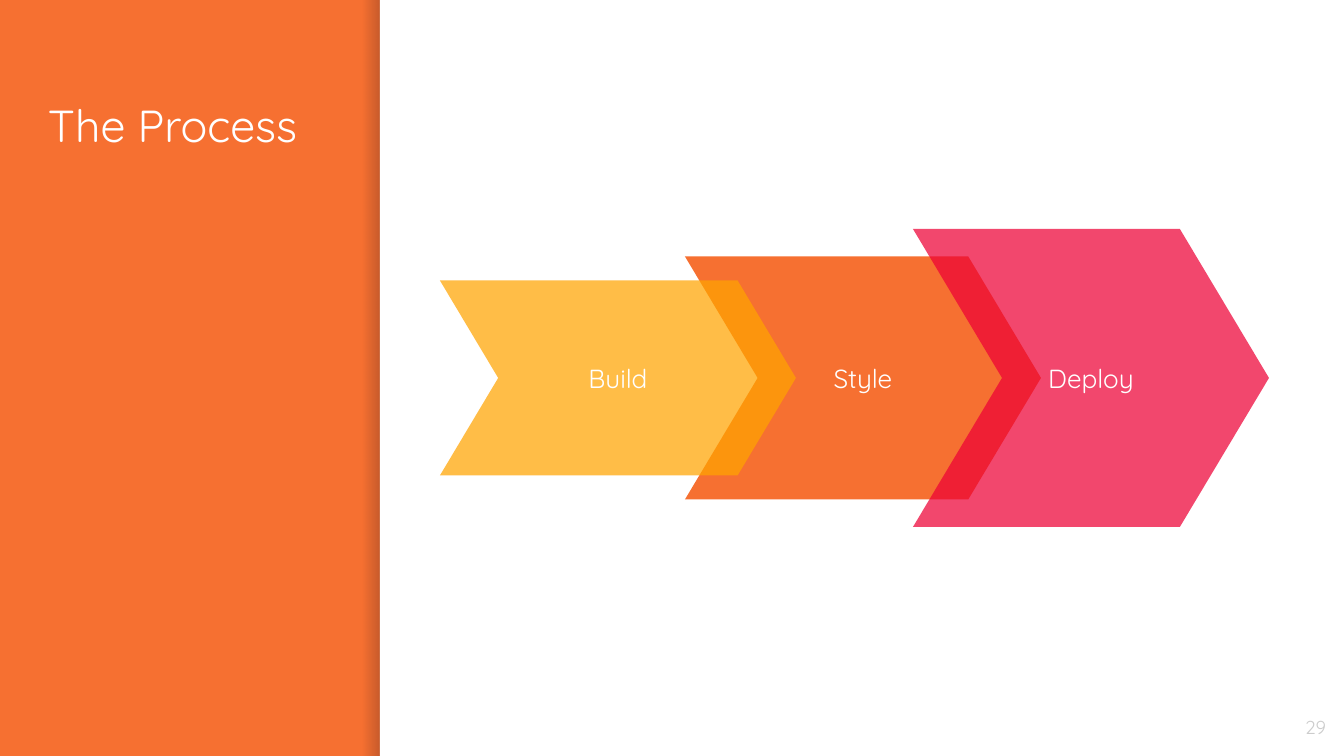
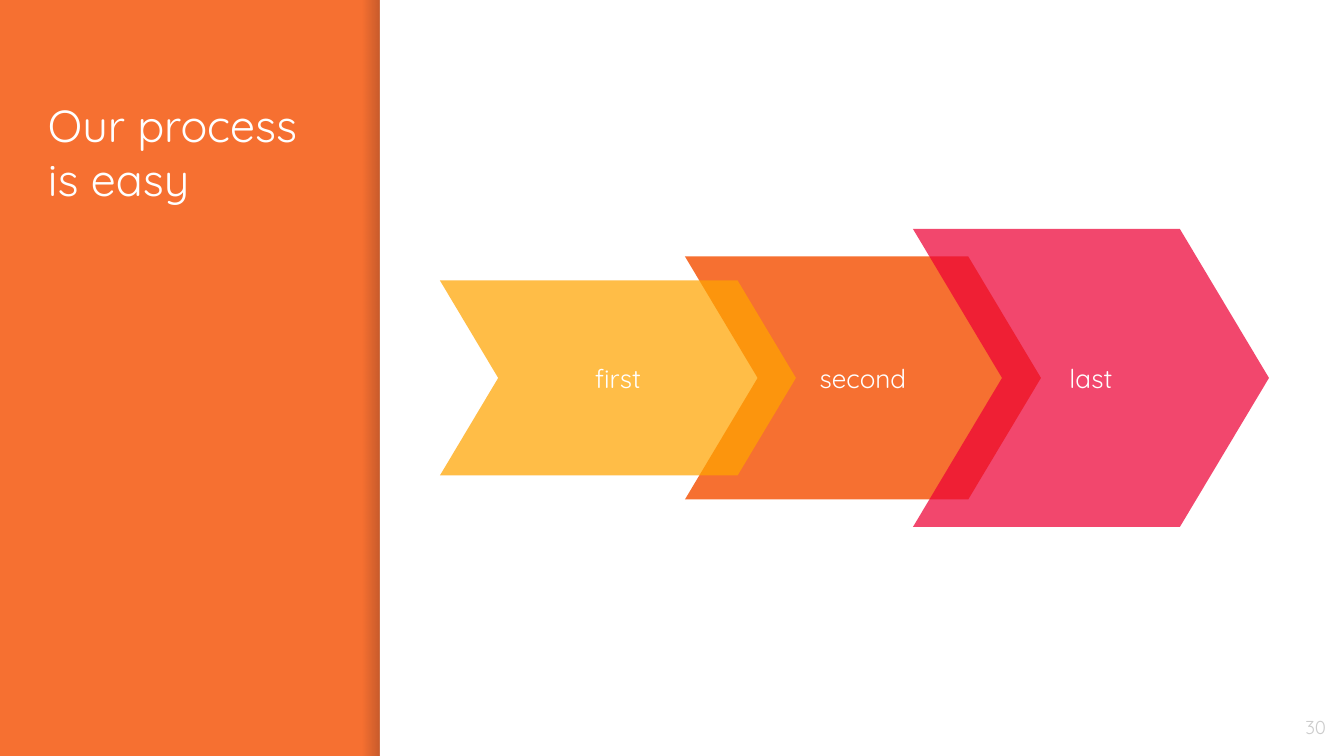
from pptx import Presentation
from pptx import util as u
from pptx.dml.color import RGBColor
from pptx.enum import shapes, text
from pptx.oxml.ns import qn
from lxml import etree

# Shared measures, in pixels
SCALE = 914400 / 134.4
SLIDE_WIDTH, SLIDE_HEIGHT = 1344, 756
SIDEBAR_WIDTH, SHADOW_WIDTH = 380, 17
INSET = 13

# Shared colours and font
ORANGE = RGBColor(0xF6, 0x70, 0x31)
RED = RGBColor(0xED, 0x00, 0x36)
AMBER = RGBColor(0xFF, 0xA4, 0x00)
WHITE = RGBColor(0xFF, 0xFF, 0xFF)
GREY = RGBColor(0xCC, 0xCC, 0xCC)
SHADE = RGBColor(0x00, 0x00, 0x14)
FONT = "Quicksand"

FRAME = {"word_wrap": True, "auto_size": text.MSO_AUTO_SIZE.NONE,
         **{f"margin_{side}": u.Emu(round(INSET * SCALE))
            for side in ("left", "top", "right", "bottom")}}
TITLE = {"size": 24, "color": WHITE, "align": text.PP_ALIGN.LEFT,
         "anchor": text.MSO_ANCHOR.TOP}
LABEL = {"size": 14, "color": WHITE, "align": text.PP_ALIGN.CENTER,
         "anchor": text.MSO_ANCHOR.MIDDLE}
NUMBER = {"size": 10, "color": GREY, "align": text.PP_ALIGN.RIGHT,
          "anchor": text.MSO_ANCHOR.MIDDLE}

# Steps in stacking order: index along the row, left, height, colour, opacity
STEP_WIDTH = 356
STEP_POINT = 0.299
STEPS = [(1, 245, 243, ORANGE, 100),
         (2, 473, 298, RED, 72),
         (0, 0, 195, AMBER, 72)]


def emu(*pixels):
    return [u.Emu(round(value * SCALE)) for value in pixels]


def set_attributes(target, values):
    for name, value in values.items():
        setattr(target, name, value)


def write(shape, words, style):
    frame = shape.text_frame
    set_attributes(frame, {**FRAME, "vertical_anchor": style["anchor"]})
    paragraph = frame.paragraphs[0]
    paragraph.alignment = style["align"]
    run = paragraph.add_run()
    run.text = words
    set_attributes(run.font, {"name": FONT, "size": u.Pt(style["size"])})
    run.font.color.rgb = style["color"]


def set_opacity(color_element, percent):
    etree.SubElement(color_element, qn("a:alpha"), val=str(percent * 1000))


def add_block(slide, kind, box, color, opacity=100):
    shape = slide.shapes.add_shape(kind, *emu(*box))
    shape.shadow.inherit = False
    shape.line.fill.background()
    shape.fill.solid()
    shape.fill.fore_color.rgb = color
    if opacity < 100:
        set_opacity(shape.fill._xPr.find(".//" + qn("a:srgbClr")), opacity)
    return shape


def add_sidebar_edge(slide, box):
    """White content panel with a soft shadow falling on the sidebar."""
    left, top, width, height = box
    shadow = add_block(slide, shapes.MSO_SHAPE.RECTANGLE,
                       (left - SHADOW_WIDTH, top, SHADOW_WIDTH, height), SHADE)
    shadow.fill.gradient()
    shadow.fill.gradient_angle = 0
    for stop, position in zip(shadow.fill.gradient_stops, (0, 1)):
        stop.position = position
        stop.color.rgb = SHADE
    colors = shadow.fill._xPr.iter(qn("a:srgbClr"))
    for color, opacity in zip(list(colors), (0, 20)):
        set_opacity(color, opacity)
    add_block(slide, shapes.MSO_SHAPE.RECTANGLE, box, WHITE)


def add_title(slide, box, words):
    title = slide.shapes.title
    set_attributes(title, dict(zip(("left", "top", "width", "height"), emu(*box))))
    write(title, words, TITLE)


def add_page_number(slide, box, number):
    write(slide.shapes.add_textbox(*emu(*box)), str(number), NUMBER)


def add_process(slide, box, labels):
    """Overlapping chevrons, centred on the middle of the box."""
    left, top, _, height = box
    for index, offset, step_height, color, opacity in STEPS:
        step_box = (left + offset, top + (height - step_height) / 2,
                    STEP_WIDTH, step_height)
        step = add_block(slide, shapes.MSO_SHAPE.CHEVRON, step_box, color, opacity)
        step.adjustments[0] = STEP_POINT
        write(step, labels[index], LABEL)


def add_process_slide(presentation, title, labels, number):
    slide = presentation.slides.add_slide(presentation.slide_layouts[5])
    add_sidebar_edge(slide, (SIDEBAR_WIDTH, 0,
                             SLIDE_WIDTH - SIDEBAR_WIDTH, SLIDE_HEIGHT))
    add_title(slide, (35, 85, 301, 585), title)
    add_process(slide, (440, 229, 829, 298), labels)
    add_page_number(slide, (1258, 698, 81, 58), number)


presentation = Presentation()
presentation.slide_width, presentation.slide_height = emu(SLIDE_WIDTH, SLIDE_HEIGHT)

# Sidebar colour comes from the shared background
background = presentation.slide_master.background.fill
background.solid()
background.fore_color.rgb = ORANGE

add_process_slide(presentation, "The Process", ("Build", "Style", "Deploy"), 29)
add_process_slide(presentation, "Our process is easy", ("first", "second", "last"), 30)

presentation.save("out.pptx")
